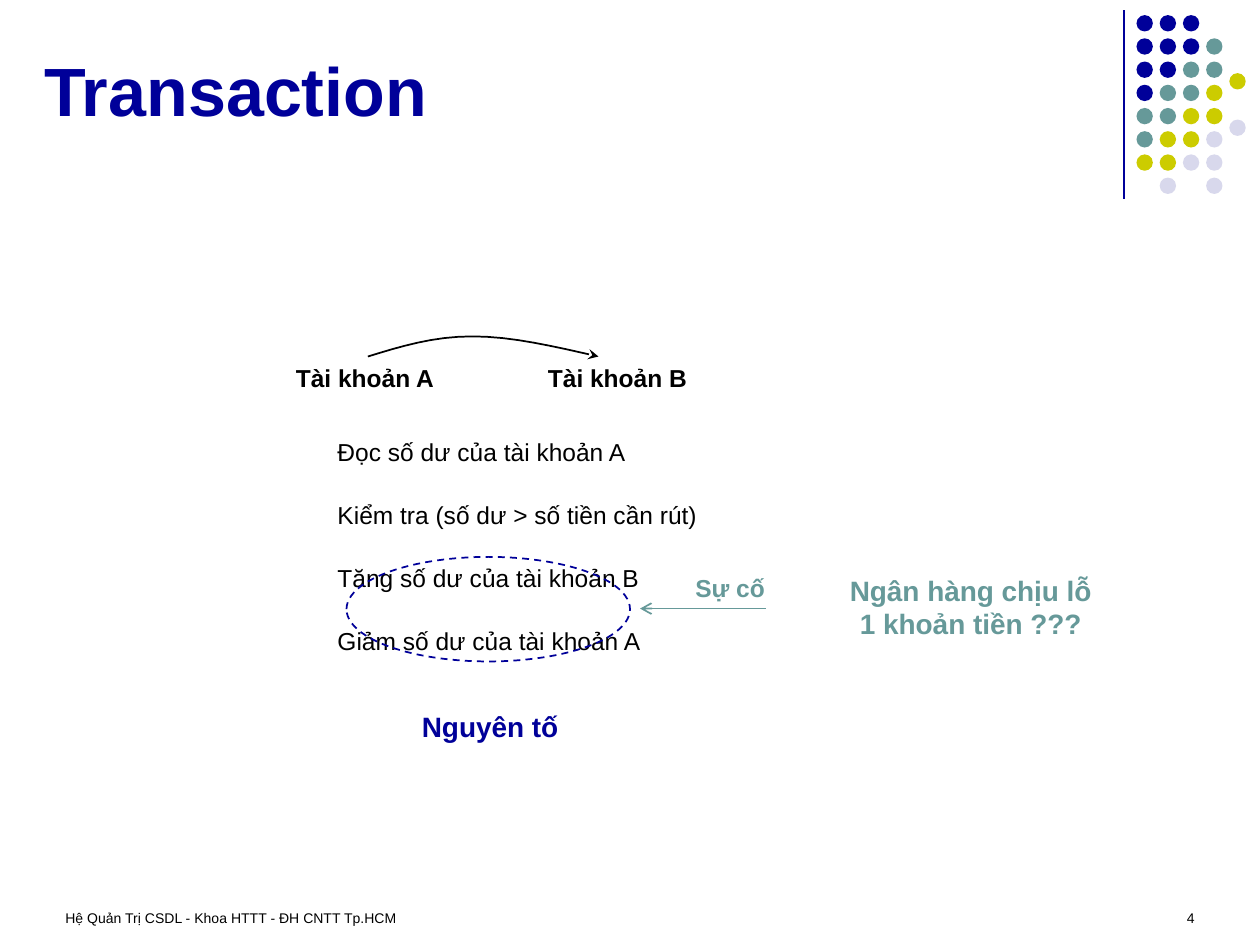
from lxml.etree import SubElement
from pptx import Presentation
from pptx.dml.color import RGBColor
from pptx.enum.dml import MSO_LINE
from pptx.enum.shapes import MSO_CONNECTOR, MSO_SHAPE
from pptx.enum.text import MSO_ANCHOR, MSO_AUTO_SIZE, PP_ALIGN
from pptx.oxml.ns import qn
from pptx.util import Inches, Pt

COLORS = {"navy": "000099", "teal": "669999", "olive": "CCCC00",
          "lilac": "D8D8EC", "black": "000000"}
TITLE = "Transaction"
FOOTER = "Hệ Quản Trị CSDL - Khoa HTTT - ĐH CNTT Tp.HCM"
PAGE_NUMBER = "4"
STEPS = [
    ("Đọc số dư của tài khoản A", 2.67),
    ("Kiểm tra (số dư > số tiền cần rút)", 3.08),
    ("Tăng số dư của tài khoản B", 2.75),
    ("Giảm số dư của tài khoản A", 2.67),
]
LABELS = [
    ("Tài khoản A", (2.25, 2.83, 1.33, 0.33), 14, "black", PP_ALIGN.LEFT),
    ("Tài khoản B", (4.25, 2.83, 1.42, 0.33), 14, "black", PP_ALIGN.LEFT),
    ("Sự cố", (5.42, 4.5, 0.83, 0.33), 14, "teal", PP_ALIGN.LEFT),
    ("Ngân hàng chịu lỗ 1 khoản tiền ???", (6.58, 4.5, 2.25, 0.64), 16, "teal", PP_ALIGN.CENTER),
    ("Nguyên tố", (3.25, 5.58, 1.33, 0.37), 16, "navy", PP_ALIGN.LEFT),
]
DOT_ROWS = ["NNN", "NNNT", "NNTT", "NTTO", "TTOO", "TOOL", "OOLL", " L L"]
DOT_COLORS = {"N": "navy", "T": "teal", "O": "olive", "L": "lilac"}
SIDE_DOTS = [(2.5, "olive"), (4.5, "lilac")]
DOT_LEFT, DOT_TOP, DOT_SIZE = 9.02, 0.12, 0.13
DOT_PITCH = (1.41 - DOT_TOP) / 7
TRANSFER_CURVES = [
    ((2.92, 2.83), (3.18, 2.75), (3.44, 2.67), (3.75, 2.67)),
    ((3.75, 2.67), (4.06, 2.67), (4.4, 2.75), (4.75, 2.83)),
]
CURVE_STEPS = 8


def color(name):
    return RGBColor.from_string(COLORS[name])


def style_text(frame, text, size, name, bold=False, align=PP_ALIGN.LEFT):
    frame.word_wrap = True
    frame.text = text
    para = frame.paragraphs[0]
    para.alignment = align
    para.font.name = "Arial"
    para.font.size = Pt(size)
    para.font.bold = bold
    para.font.color.rgb = color(name)


def add_text(page, text, area, *style, grow=True):
    box = page.shapes.add_textbox(*map(Inches, area))
    style_text(box.text_frame, text, *style)
    box.text_frame.auto_size = MSO_AUTO_SIZE.SHAPE_TO_FIT_TEXT if grow else MSO_AUTO_SIZE.NONE


def add_ellipse(page, *area):
    ellipse = page.shapes.add_shape(MSO_SHAPE.OVAL, *map(Inches, area))
    ellipse.shadow.inherit = False
    return ellipse


def add_dot(page, column, row, name):
    dot = add_ellipse(page, DOT_LEFT + column * DOT_PITCH, DOT_TOP + row * DOT_PITCH,
                      DOT_SIZE, DOT_SIZE)
    dot.fill.solid()
    dot.fill.fore_color.rgb = color(name)
    dot.line.fill.background()


def style_line(line, name):
    line.color.rgb = color(name)
    line.width = Pt(1)


def add_arrowhead(line, end, kind):
    SubElement(line._get_or_add_ln(), qn(f"a:{end}"), type=kind)


def add_line(page, start, end, name):
    connector = page.shapes.add_connector(MSO_CONNECTOR.STRAIGHT, *map(Inches, start + end))
    style_line(connector.line, name)
    SubElement(connector._element.spPr, qn("a:effectLst"))
    return connector


def curve_point(curve, t):
    weights = ((1 - t) ** 3, 3 * t * (1 - t) ** 2, 3 * t ** 2 * (1 - t), t ** 3)
    return tuple(Inches(sum(w * point[axis] for w, point in zip(weights, curve)))
                 for axis in (0, 1))


def add_transfer_arrow(page):
    points = [curve_point(curve, step / CURVE_STEPS)
              for curve in TRANSFER_CURVES for step in range(1, CURVE_STEPS + 1)]
    builder = page.shapes.build_freeform(*curve_point(TRANSFER_CURVES[0], 0))
    builder.add_line_segments(points, close=False)
    arrow = builder.convert_to_shape()
    arrow.shadow.inherit = False
    arrow.fill.background()
    style_line(arrow.line, "black")
    add_arrowhead(arrow.line, "tailEnd", "stealth")


def main():
    deck = Presentation()
    deck.slide_width, deck.slide_height = Inches(10), Inches(7.5)
    page = deck.slides.add_slide(deck.slide_layouts[5])

    for column_dots, row in zip(DOT_ROWS, range(len(DOT_ROWS))):
        for column, key in enumerate(column_dots):
            if key in DOT_COLORS:
                add_dot(page, column, row, DOT_COLORS[key])
    for row, name in SIDE_DOTS:
        add_dot(page, 4, row, name)
    add_line(page, (8.92, 0.08), (8.92, 1.58), "navy")

    title = page.shapes.title
    title.left, title.top, title.width, title.height = map(Inches, (0.25, 0.13, 8.58, 0.95))
    style_text(title.text_frame, TITLE, 39, "navy", True)
    title.text_frame.vertical_anchor = MSO_ANCHOR.BOTTOM
    title.text_frame.auto_size = MSO_AUTO_SIZE.NONE

    add_text(page, FOOTER, (0.42, 7.17, 6.42, 0.33), 8, "black", grow=False)
    add_text(page, PAGE_NUMBER, (7.25, 7.17, 2.33, 0.33), 8, "black", False,
             PP_ALIGN.RIGHT, grow=False)

    for index, (text, width) in enumerate(STEPS):
        add_text(page, text, (2.58, 3.42 + index * 0.5, width, 0.33), 14, "black")
    for text, area, size, name, align in LABELS:
        add_text(page, text, area, size, name, True, align)

    add_transfer_arrow(page)
    incident = add_line(page, (5.08, 4.83), (6.08, 4.83), "teal")
    add_arrowhead(incident.line, "headEnd", "arrow")

    atomic = add_ellipse(page, 2.75, 4.42, 2.25, 0.83)
    atomic.fill.background()
    style_line(atomic.line, "navy")
    atomic.line.dash_style = MSO_LINE.DASH

    deck.save("out.pptx")


if __name__ == "__main__":
    main()
